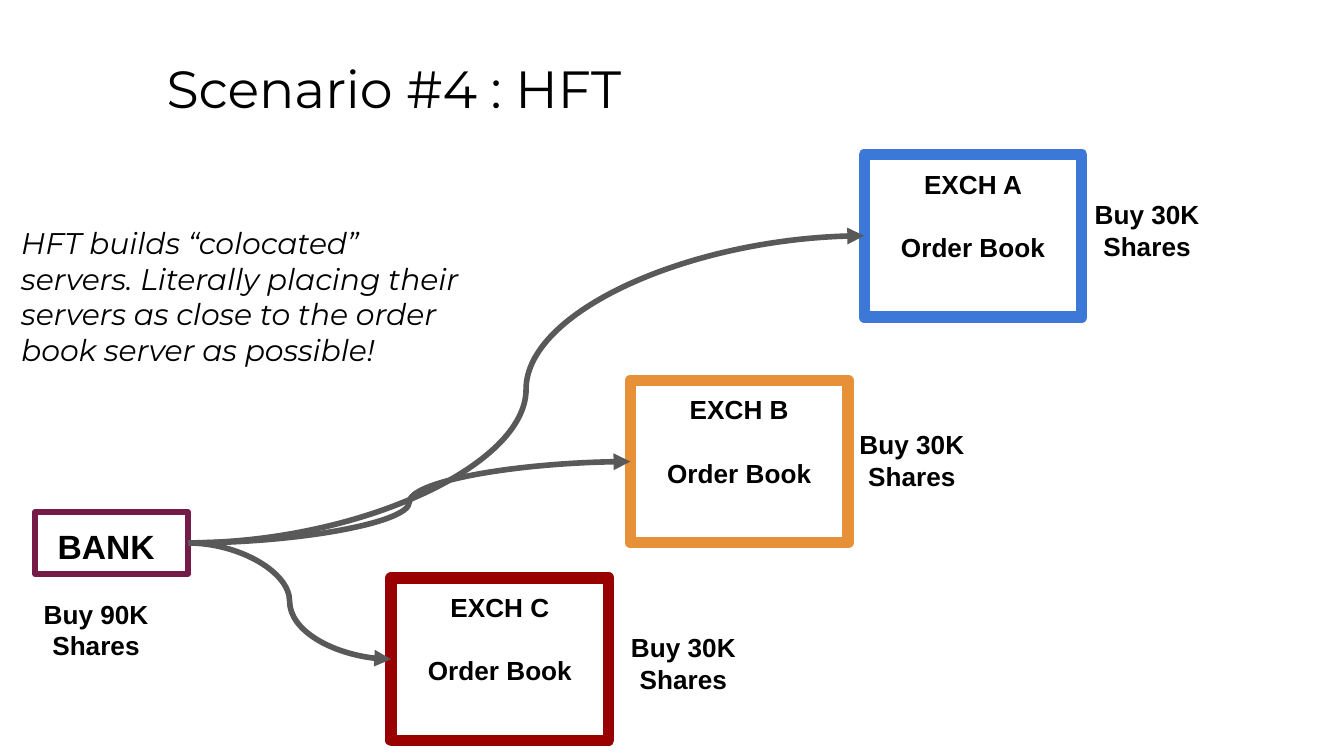
from lxml.etree import SubElement
from pptx import Presentation
from pptx.dml.color import RGBColor
from pptx.enum.shapes import MSO_CONNECTOR, MSO_SHAPE
from pptx.enum.text import MSO_ANCHOR, MSO_AUTO_SIZE, PP_ALIGN
from pptx.oxml.ns import qn
from pptx.util import Inches, Pt

BLACK = "000000"
GREY = "595959"
TITLE_FONT = {"name": "Montserrat", "size": Pt(28)}
NOTE_FONT = {"name": "Montserrat", "size": Pt(16), "italic": True}
BANK_FONT = {"name": "Arial", "size": Pt(18), "bold": True}
LABEL_FONT = {"name": "Arial", "size": Pt(14), "bold": True}
LEFT_SITE, RIGHT_SITE = 1, 3

# name, left and top of the order book, its colour, left and top of its label
MARKETS = [
    ("EXCH A", 6.43, 1.15, "3C78D8", 7.82, 1.38),
    ("EXCH B", 4.69, 2.83, "E69138", 6.07, 3.09),
    ("EXCH C", 2.91, 4.3, "990000", 4.37, 4.6),
]


def set_color(color_format, hex_color):
    color_format.rgb = RGBColor.from_string(hex_color)


def write_text(shape, lines, font, align=PP_ALIGN.LEFT, gap=0):
    """Fill a shape with one paragraph per line, gap points apart."""
    frame = shape.text_frame
    frame_format = {
        "word_wrap": True,
        "auto_size": MSO_AUTO_SIZE.NONE,
        "vertical_anchor": MSO_ANCHOR.TOP,
        "margin_left": Inches(0.1),
        "margin_right": Inches(0.1),
        "margin_top": Inches(0.1),
        "margin_bottom": Inches(0.1),
    }
    for name, value in frame_format.items():
        setattr(frame, name, value)
    for index, line in enumerate(lines):
        paragraph = frame.add_paragraph() if index else frame.paragraphs[0]
        paragraph.alignment = align
        paragraph.space_before = Pt(gap if index else 0)
        span = paragraph.add_run()
        span.text = line
        for name, value in font.items():
            setattr(span.font, name, value)
        set_color(span.font.color, BLACK)


def add_title(page, text):
    title = page.shapes.title
    place = {"left": 1.14, "top": 0.32, "width": 8.52, "height": 0.63}
    for name, value in place.items():
        setattr(title, name, Inches(value))
    write_text(title, [text], TITLE_FONT)


def add_text(page, text, left, top, width, height, font, align=PP_ALIGN.LEFT):
    box = page.shapes.add_textbox(
        Inches(left), Inches(top), Inches(width), Inches(height))
    write_text(box, [text], font, align)


def add_label(page, text, left, top):
    add_text(page, text, left, top, 1.43, 0.6, LABEL_FONT, PP_ALIGN.CENTER)


def add_frame(page, left, top, width, height, hex_color, weight):
    """Add an unfilled rectangle with a coloured outline."""
    box = page.shapes.add_shape(
        MSO_SHAPE.RECTANGLE,
        Inches(left), Inches(top), Inches(width), Inches(height))
    box.shadow.inherit = False
    box.fill.background()
    set_color(box.line.color, hex_color)
    box.line.width = Pt(weight)
    return box


def add_bank(page):
    bank = add_frame(page, 0.26, 3.81, 1.14, 0.46, "741B47", 3)
    write_text(bank, ["BANK"], BANK_FONT)
    bank.text_frame.margin_left = Inches(0.17)
    return bank


def add_order_book(page, name, left, top, hex_color):
    book = add_frame(page, left, top, 1.62, 1.21, hex_color, 6)
    write_text(book, [name, "Order Book"], LABEL_FONT, PP_ALIGN.CENTER, gap=17)
    return book


def add_curved_arrow(page, source, target):
    """Join the right side of source to the left side of target."""
    arrow = page.shapes.add_connector(
        MSO_CONNECTOR.CURVE,
        source.left + source.width, source.top + source.height // 2,
        target.left, target.top + target.height // 2)
    arrow.begin_connect(source, RIGHT_SITE)
    arrow.end_connect(target, LEFT_SITE)
    set_color(arrow.line.color, GREY)
    arrow.line.width = Pt(3)
    properties = arrow._element.spPr
    SubElement(properties.find(qn("a:ln")), qn("a:tailEnd"), type="triangle")
    SubElement(properties, qn("a:effectLst"))


def main():
    deck = Presentation()
    deck.slide_width = Inches(10)
    deck.slide_height = deck.slide_width * 9 // 16
    page = deck.slides.add_slide(deck.slide_layouts[5])

    add_title(page, "Scenario #4 : HFT")
    add_text(
        page,
        "HFT builds “colocated” servers. Literally placing their servers "
        "as close to the order book server as possible!",
        0.06, 1.57, 3.47, 1.69, NOTE_FONT)

    bank = add_bank(page)
    add_label(page, "Buy 90K Shares", 0, 4.35)
    for name, left, top, hex_color, label_left, label_top in MARKETS:
        book = add_order_book(page, name, left, top, hex_color)
        add_curved_arrow(page, bank, book)
        add_label(page, "Buy 30K Shares", label_left, label_top)

    deck.save("out.pptx")


if __name__ == "__main__":
    main()
